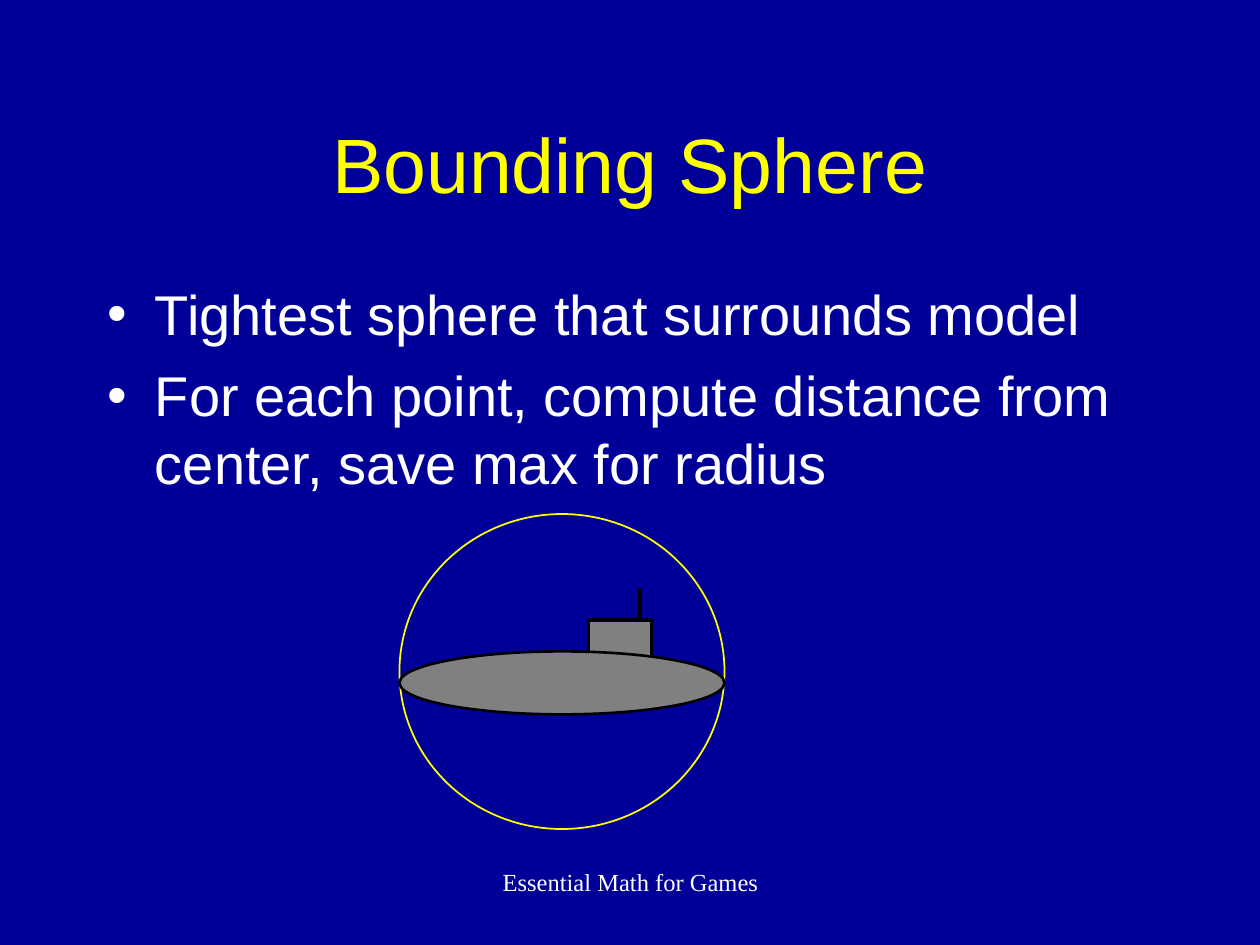
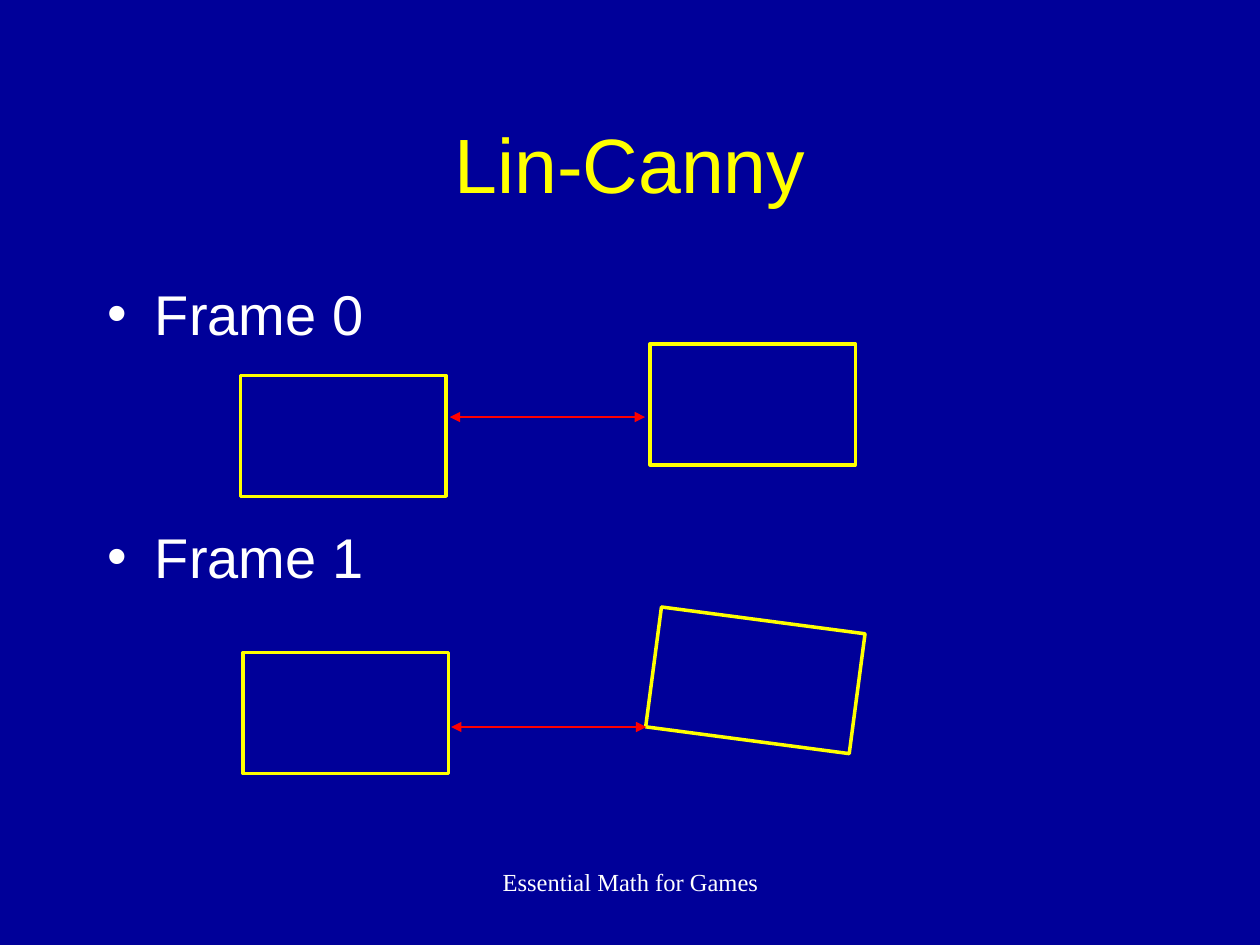
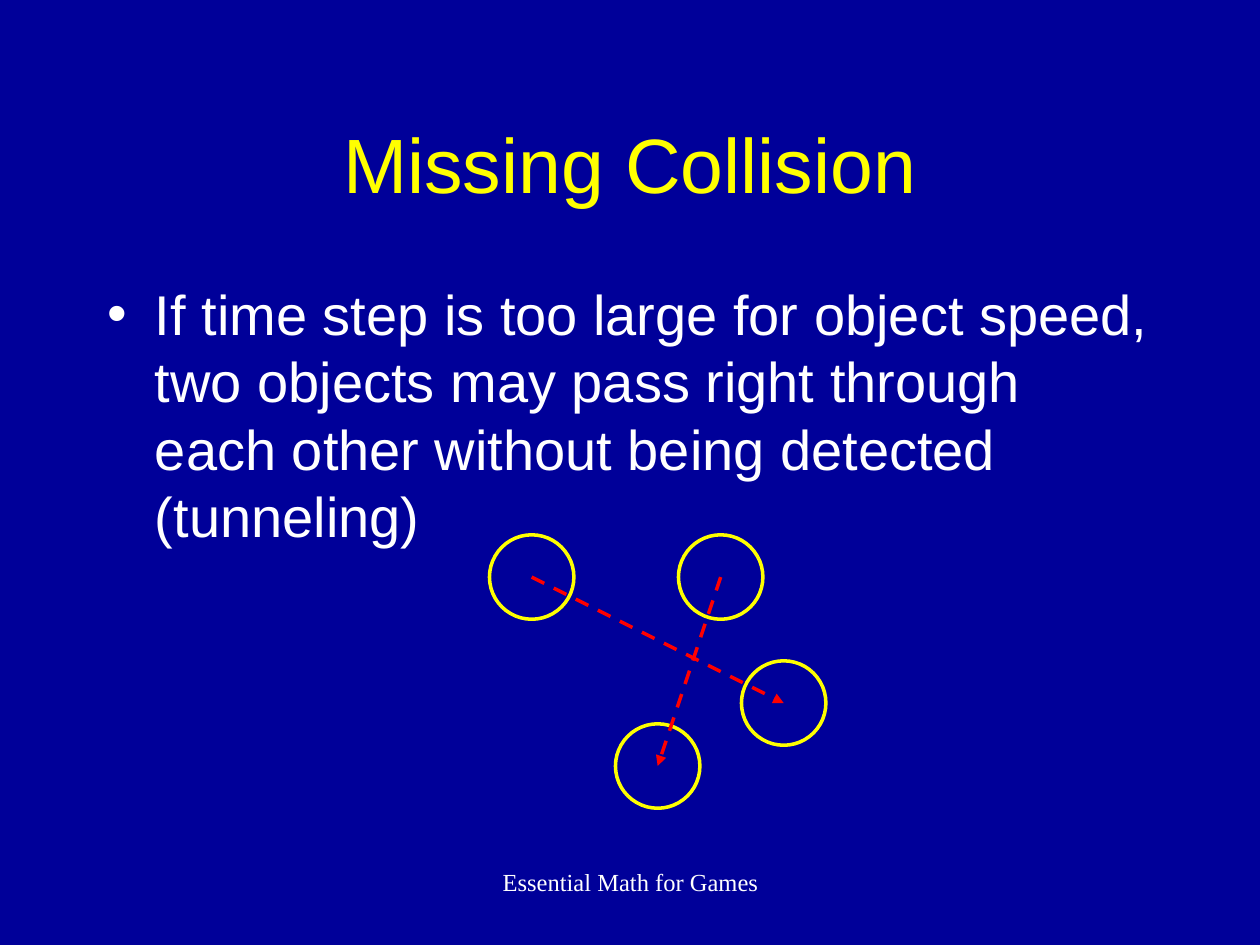
from lxml.etree import SubElement
from pptx import Presentation
from pptx.dml.color import RGBColor
from pptx.enum.dml import MSO_LINE
from pptx.enum.shapes import MSO_CONNECTOR, MSO_SHAPE
from pptx.enum.text import MSO_ANCHOR, MSO_AUTO_SIZE, PP_ALIGN
from pptx.oxml.ns import qn
from pptx.util import Inches, Pt

HEX = {"back": "000099", "title": "FFFF00", "text": "FFFFFF", "edge": "FFFF00",
       "arrow": "FF0000", "hull": "808080", "ink": "000000"}
SANS, SERIF = "Arial", "Times New Roman"
FOOTER = "Essential Math for Games"


def color(name):
    return RGBColor.from_string(HEX[name])


def box(left, top, width, height):
    return [Inches(n) for n in (left, top, width, height)]


# Text
def place(shape, *area):
    shape.left, shape.top, shape.width, shape.height = box(*area)
    shape.text_frame.word_wrap = True
    shape.text_frame.auto_size = MSO_AUTO_SIZE.NONE


def style(para, face, size, tint):
    for run in para.runs:
        run.font.name, run.font.size = face, Pt(size)
        run.font.color.rgb = color(tint)


def bullet(para):
    props = para._p.get_or_add_pPr()
    props.set("marL", str(Inches(0.38)))
    props.set("indent", str(-Inches(0.38)))
    tint = SubElement(props, qn("a:buClr"))
    SubElement(tint, qn("a:srgbClr"), val=HEX["text"])
    SubElement(props, qn("a:buFont"), typeface=SANS)
    SubElement(props, qn("a:buChar"), char="•")


def add_slide(deck, title, items, gap=8):
    """Add a slide with title, bullets and footer; gap parts the bullets."""
    slide = deck.slides.add_slide(deck.slide_layouts[1])

    head = slide.shapes.title
    place(head, 0.75, 0.67, 8.5, 1.25)
    head.text_frame.text = title
    head.text_frame.vertical_anchor = MSO_ANCHOR.MIDDLE
    para = head.text_frame.paragraphs[0]
    para.alignment = PP_ALIGN.CENTER
    style(para, SANS, 44, "title")

    body = slide.placeholders[1]
    place(body, 0.75, 2.17, 8.5, 4.5)
    body.text_frame.text = "\n".join(items)
    for i, para in enumerate(body.text_frame.paragraphs):
        para.space_before = Pt(gap if i else 8)
        bullet(para)
        style(para, SANS, 32, "text")

    foot = slide.shapes.add_textbox(*box(3.42, 6.83, 3.17, 0.5))
    foot.text_frame.word_wrap = True
    foot.text_frame.text = FOOTER
    para = foot.text_frame.paragraphs[0]
    para.alignment = PP_ALIGN.CENTER
    para.space_before = Pt(8.8)
    style(para, SERIF, 14, "text")
    return slide.shapes


# Drawing
def paint(shape, edge, width, fill=None):
    shape.shadow.inherit = False
    if fill:
        shape.fill.solid()
        shape.fill.fore_color.rgb = color(fill)
    else:
        shape.fill.background()
    shape.line.color.rgb = color(edge)
    shape.line.width = Pt(width)


def add_form(shapes, kind, area, width=2, edge="edge", fill=None):
    shape = shapes.add_shape(kind, *box(*area))
    paint(shape, edge, width, fill)
    return shape


def add_line(shapes, start, end, width, tint="arrow", ends=(), dash=False):
    line = shapes.add_connector(MSO_CONNECTOR.STRAIGHT,
                                *[Inches(n) for n in (*start, *end)])
    line.line.color.rgb = color(tint)
    line.line.width = Pt(width)
    if dash:
        line.line.dash_style = MSO_LINE.DASH
    for tag in ends:
        SubElement(line.line._get_or_add_ln(), qn(tag), type="triangle")
    SubElement(line._element.spPr, qn("a:effectLst"))


def add_sub(shapes):
    """Group the mast, tower and hull of the submarine."""
    parts = shapes.add_group_shape().shapes
    add_line(parts, (5.08, 4.67), (5.08, 5.08), 2, "ink")
    pen = parts.build_freeform(Inches(4.67), Inches(4.92), scale=1.0)
    pen.add_line_segments([(Inches(x), Inches(y)) for x, y in
                           ((5.17, 4.92), (5.17, 5.25), (4.67, 5.25))])
    paint(pen.convert_to_shape(), "ink", 2, "hull")
    add_form(parts, MSO_SHAPE.OVAL, (3.17, 5.17, 2.58, 0.5), 1.5, "ink", "hull")


# Slides
def sphere(deck):
    shapes = add_slide(deck, "Bounding Sphere", [
        "Tightest sphere that surrounds model",
        "For each point, compute distance from center, save max for radius"])
    add_form(shapes, MSO_SHAPE.OVAL, (3.17, 4.08, 2.58, 2.5), 1)
    add_sub(shapes)


def frames(deck):
    shapes = add_slide(deck, "Lin-Canny", ["Frame 0", "Frame 1"], gap=100.5)
    for left, top, turn in ((1.91, 2.98, 0), (5.16, 2.73, 0),
                            (1.93, 5.18, 0), (5.18, 4.92, 7.5)):
        block = add_form(shapes, MSO_SHAPE.RECTANGLE, (left, top, 1.63, 0.96))
        block.rotation = turn
    for left, y in ((3.58, 5.77), (3.57, 3.31)):
        add_line(shapes, (left, y), (left + 1.55, y), 1.5,
                 ends=("a:headEnd", "a:tailEnd"))


def tunnel(deck):
    shapes = add_slide(deck, "Missing Collision", [
        "If time step is too large for object speed, two objects may pass "
        "right through each other without being detected (tunneling)"])
    size = 0.67
    moves = (((5.72, 4.58), (5.22, 6.08)), ((4.22, 4.58), (6.22, 5.58)))
    for x, y in (spot for move in moves for spot in move):
        add_form(shapes, MSO_SHAPE.OVAL,
                 (x - size / 2, y - size / 2, size, size))
    for start, end in moves:
        add_line(shapes, start, end, 2, ends=("a:tailEnd",), dash=True)


def main():
    deck = Presentation()
    deck.slide_width, deck.slide_height = Inches(10), Inches(7.5)
    back = deck.slide_master.background.fill
    back.solid()
    back.fore_color.rgb = color("back")
    for build in (sphere, frames, tunnel):
        build(deck)
    deck.save("out.pptx")


if __name__ == "__main__":
    main()
